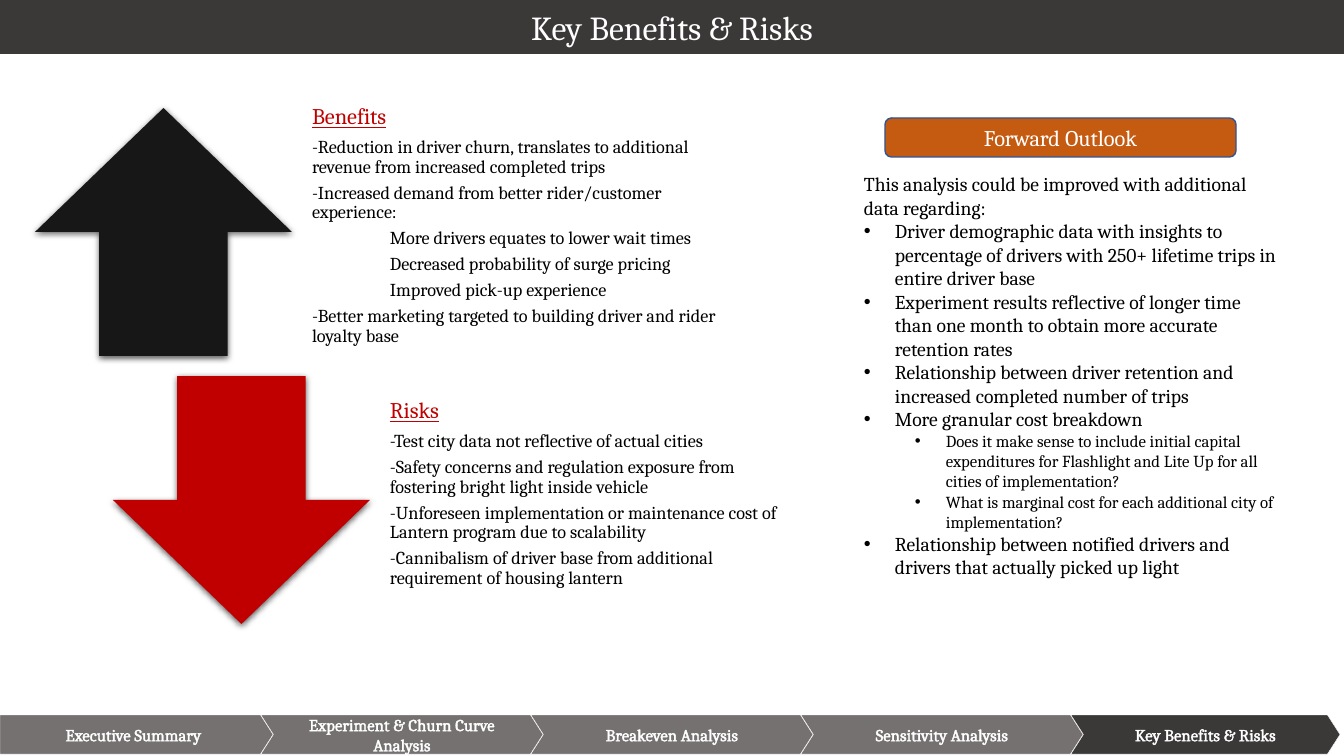
"""Build the Key Benefits & Risks slide."""
import pptx
import pptx.util
import pptx.dml.color
import pptx.enum.shapes
import pptx.enum.text
import lxml.etree
from dataclasses import dataclass

SHAPE = pptx.enum.shapes.MSO_SHAPE
ALIGN = pptx.enum.text.PP_ALIGN
ANCHOR = pptx.enum.text.MSO_ANCHOR
A = "http://schemas.openxmlformats.org/drawingml/2006/main"


@dataclass(frozen=True)
class Theme:
    font: str = "Cambria"
    dark: str = "3B3838"
    grey: str = "767171"
    white: str = "FFFFFF"
    black: str = "000000"
    up: str = "181717"
    red: str = "C00000"
    orange: str = "C55A11"
    border: str = "325491"
    title_size: int = 24
    heading_size: int = 16
    outlook_size: int = 14
    point_size: int = 13
    small_size: int = 12


THEME = Theme()
TITLE = "Key Benefits & Risks"
SECTIONS = ["Executive Summary", "Experiment & Churn Curve Analysis",
            "Breakeven Analysis", "Sensitivity Analysis", TITLE]
SIDES = [
    ("Benefits", SHAPE.UP_ARROW, THEME.up, 35, 108, [
        (0, "-Reduction in driver churn, translates to additional revenue from increased completed trips"),
        (0, "-Increased demand from better rider/customer experience:"),
        (1, "More drivers equates to lower wait times"),
        (1, "Decreased probability of surge pricing"),
        (1, "Improved pick-up experience"),
        (0, "-Better marketing targeted to building driver and rider loyalty base")]),
    ("Risks", SHAPE.DOWN_ARROW, THEME.red, 113, 376, [
        (0, "-Test city data not reflective of actual cities"),
        (0, "-Safety concerns and regulation exposure from fostering bright light inside vehicle"),
        (0, "-Unforeseen implementation or maintenance cost of Lantern program due to scalability"),
        (0, "-Cannibalism of driver base from additional requirement of housing lantern")]),
]
OUTLOOK_HEADING = "Forward Outlook"
OUTLOOK_INTRO = "This analysis could be improved with additional data regarding:"
OUTLOOK = [
    (0, "Driver demographic data with insights to percentage of drivers with 250+ lifetime trips in entire driver base"),
    (0, "Experiment results reflective of longer time than one month to obtain more accurate retention rates"),
    (0, "Relationship between driver retention and increased completed number of trips"),
    (0, "More granular cost breakdown"),
    (1, "Does it make sense to include initial capital expenditures for Flashlight and Lite Up for all cities of implementation?"),
    (1, "What is marginal cost for each additional city of implementation?"),
    (0, "Relationship between notified drivers and drivers that actually picked up light"),
]


def px(length):
    return pptx.util.Emu(round(length * 914400 / 100.8))


def rgb(colour):
    return pptx.dml.color.RGBColor.from_string(colour)


def element(parent, tag, **attributes):
    return lxml.etree.SubElement(parent, f"{{{A}}}{tag}", attributes)


def add_run(paragraph, text, size, colour, underline=None):
    run = paragraph.add_run()
    run.text = text
    run.font.name = THEME.font
    run.font.size = pptx.util.Pt(size)
    run.font.color.rgb = rgb(colour)
    run.font.underline = underline
    return run


def add_label(shape, text, size):
    frame = shape.text_frame
    frame.word_wrap = True
    frame.vertical_anchor = ANCHOR.MIDDLE
    frame.paragraphs[0].alignment = ALIGN.CENTER
    return add_run(frame.paragraphs[0], text, size, THEME.white)


def add_block(kind, box, fill, line=None, weight=1):
    block = slide.shapes.add_shape(kind, *map(px, box))
    block.shadow.inherit = False
    block.fill.solid()
    block.fill.fore_color.rgb = rgb(fill)
    if line:
        block.line.color.rgb = rgb(line)
        block.line.width = pptx.util.Pt(weight)
    else:
        block.line.fill.background()
    return block


def add_frame(box):
    frame = slide.shapes.add_textbox(*map(px, box)).text_frame
    frame.word_wrap = True
    return frame


def indent(paragraph, margin, hanging=0):
    properties = paragraph._p.get_or_add_pPr()
    properties.set("marL", str(px(margin)))
    properties.set("indent", str(-px(hanging)))
    return properties


def add_shadow(shape):
    effects = shape._element.spPr.find(f"{{{A}}}effectLst")
    shadow = element(effects, "outerShdw", blurRad="57150", dist="19050",
                     dir="5400000", algn="ctr", rotWithShape="0")
    element(element(shadow, "srgbClr", val=THEME.black), "alpha", val="63000")


def outline(run):
    properties = run._r.get_or_add_rPr()
    line = element(properties, "ln", w="9525")
    element(element(line, "solidFill"), "srgbClr", val=THEME.white)
    properties.insert(0, line)


def add_side(heading, arrow, colour, left, top, points):
    add_shadow(add_block(arrow, (left, top, 257, 248), colour))
    frame = add_frame((left + 265, top, 435, 248))
    frame.vertical_anchor = ANCHOR.MIDDLE
    frame.margin_left = frame.margin_right = frame.margin_bottom = px(12)
    frame.margin_top = 0
    rows = [(0, heading, THEME.heading_size, THEME.red, True)]
    rows += [(level, text, THEME.point_size, THEME.black, None) for level, text in points]
    for number, (level, text, size, ink, underline) in enumerate(rows):
        paragraph = frame.add_paragraph() if number else frame.paragraphs[0]
        paragraph.line_spacing = 0.9
        paragraph.space_after = pptx.util.Pt(round(size * 0.35, 1))
        indent(paragraph, 78 * level)
        add_run(paragraph, text, size, ink, underline)


def add_outlook():
    frame = add_frame((854, 167, 433, 420))
    add_run(frame.paragraphs[0], OUTLOOK_INTRO, THEME.outlook_size, THEME.black)
    for level, text in OUTLOOK:
        paragraph = frame.add_paragraph()
        paragraph.level = level
        properties = indent(paragraph, 31 + 51 * level, 31)
        element(properties, "buFont", typeface="Arial")
        element(properties, "buChar", char="•")
        size = THEME.small_size if level else THEME.outlook_size
        add_run(paragraph, text, size, THEME.black)
    heading = add_block(SHAPE.ROUNDED_RECTANGLE, (885, 118, 351, 39), THEME.orange, THEME.border)
    add_label(heading, OUTLOOK_HEADING, THEME.heading_size)


def add_navigation():
    for number, section in enumerate(SECTIONS):
        left = max(0, 270 * number - 9)
        right = min(270 * number + 273, 1340)
        kind = SHAPE.CHEVRON if number else SHAPE.PENTAGON
        fill = THEME.dark if section == TITLE else THEME.grey
        step = add_block(kind, (left, 715, right - left, 39), fill, THEME.white, 0.25)
        step.adjustments[0] = 0.32
        outline(add_label(step, section, THEME.small_size))


deck = pptx.Presentation()
deck.slide_width, deck.slide_height = px(1344), px(756)
slide = deck.slides.add_slide(deck.slide_layouts[5])
title = slide.shapes.title
title.left, title.top, title.width, title.height = map(px, (0, 0, 1344, 54))
title.fill.solid()
title.fill.fore_color.rgb = rgb(THEME.dark)
title.text_frame.auto_size = pptx.enum.text.MSO_AUTO_SIZE.NONE
add_label(title, TITLE, THEME.title_size)
for side in SIDES:
    add_side(*side)
add_outlook()
add_navigation()
deck.save("out.pptx")
